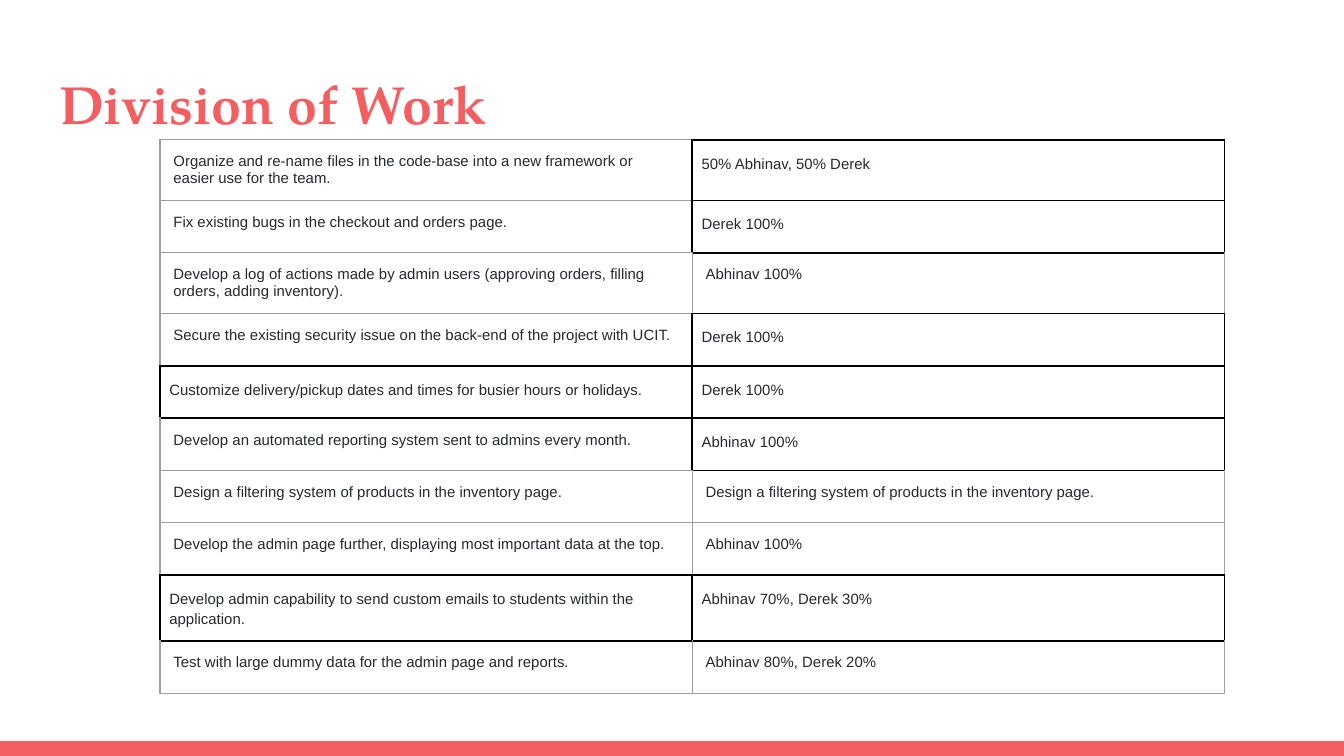
from lxml.etree import SubElement
from pptx import Presentation
from pptx.dml.color import RGBColor
from pptx.enum.shapes import MSO_SHAPE
from pptx.enum.text import MSO_ANCHOR, MSO_AUTO_SIZE, PP_ALIGN
from pptx.oxml.ns import qn
from pptx.util import Emu, Pt

SCALE = 4572  # EMU in one px, at 200 px to the inch
CORAL, INK, BLACK, GREY = "F55E61", "24292F", "000000", "9E9E9E"

# Each cell: text, and whether it is boxed in black
TASKS = [
    [("Organize and re-name files in the code-base into a new framework or easier use for the team.", False),
     ("50% Abhinav, 50% Derek", True)],
    [("Fix existing bugs in the checkout and orders page.", False),
     ("Derek 100%", True)],
    [("Develop a log of actions made by admin users (approving orders, filling orders, adding inventory).", False),
     ("Abhinav 100%", False)],
    [("Secure the existing security issue on the back-end of the project with UCIT.", False),
     ("Derek 100%", True)],
    [("Customize delivery/pickup dates and times for busier hours or holidays.", True),
     ("Derek 100%", True)],
    [("Develop an automated reporting system sent to admins every month.", False),
     ("Abhinav 100%", True)],
    [("Design a filtering system of products in the inventory page.", False),
     ("Design a filtering system of products in the inventory page.", False)],
    [("Develop the admin page further, displaying most important data at the top.", False),
     ("Abhinav 100%", False)],
    [("Develop admin capability to send custom emails to students within the application.", True),
     ("Abhinav 70%, Derek 30%", True)],
    [("Test with large dummy data for the admin page and reports.", False),
     ("Abhinav 80%, Derek 20%", False)],
]
SIDES = {"lnL": (0, -1), "lnR": (0, 1), "lnT": (-1, 0), "lnB": (1, 0)}


def px(n):
    return Emu(n * SCALE)


def color(code):
    return RGBColor.from_string(code)


def assign(target, values):
    for name, value in values.items():
        setattr(target, name, value)


def pads(side, end):
    return {"margin_left": px(side), "margin_right": px(side),
            "margin_top": px(end), "margin_bottom": px(end)}


def boxed(row, col):
    """Tell if a cell is boxed; places outside the table are not."""
    return 0 <= row < len(TASKS) and 0 <= col < 2 and TASKS[row][col][1]


class Deck:
    title_font = {"name": "TeX Gyre Pagella", "size": Pt(28.8), "bold": True}
    body_font = {"name": "Arial", "size": Pt(8), "bold": False}
    box_para = {"line_spacing": 1.15, "space_before": Pt(12)}

    def __init__(self, wide, high):
        self.prs = Presentation()
        assign(self.prs, {"slide_width": px(wide), "slide_height": px(high)})
        self.slide = self.prs.slides.add_slide(self.prs.slide_layouts[5])

    def text(self, frame, words, font, code):
        para = frame.paragraphs[0]
        para.alignment = PP_ALIGN.LEFT
        run = para.add_run()
        run.text = words
        assign(run.font, font)
        run.font.color.rgb = color(code)
        return para

    def bar(self, x, y, w, h):
        shape = self.slide.shapes.add_shape(
            MSO_SHAPE.RECTANGLE, px(x), px(y), px(w), px(h))
        shape.shadow.inherit = False
        shape.fill.solid()
        shape.fill.fore_color.rgb = color(CORAL)
        shape.line.fill.background()

    def title(self, words, x, y, w, h):
        shape = self.slide.shapes.title
        assign(shape, {"left": px(x), "top": px(y), "width": px(w), "height": px(h)})
        frame = shape.text_frame
        assign(frame, {"word_wrap": True, "auto_size": MSO_AUTO_SIZE.NONE,
                       "vertical_anchor": MSO_ANCHOR.MIDDLE, **pads(20, 20)})
        self.text(frame, words, self.title_font, CORAL)

    def edge(self, cell, side, code, width):
        line = SubElement(cell._tc.get_or_add_tcPr(), qn(f"a:{side}"), w=str(Pt(width)))
        fill = SubElement(line, qn("a:solidFill"))
        SubElement(fill, qn("a:srgbClr"), val=code)

    def cell(self, cell, row, col):
        """Fill one cell; an edge is black if a boxed cell lies on either side."""
        words, box = TASKS[row][col]
        assign(cell, pads(14 if box else 20, 20))
        para = self.text(cell.text_frame, words, self.body_font, INK)
        if box:
            assign(para, self.box_para)
        for side, (down, across) in SIDES.items():
            dark = box or boxed(row + down, col + across)
            self.edge(cell, side, *((BLACK, 1) if dark else (GREY, 0.75)))
        cell.fill.background()

    def table(self, x, y, wide, high):
        count = len(TASKS)
        table = self.slide.shapes.add_table(
            count, 2, px(x), px(y), px(2 * wide), px(count * high)).table
        assign(table, {"first_row": False, "horz_banding": False})
        for column in table.columns:
            column.width = px(wide)
        for row in range(count):
            table.rows[row].height = px(high)
            for col in range(2):
                self.cell(table.cell(row, col), row, col)


def main():
    deck = Deck(2000, 1125)
    deck.bar(0, 1103, 2000, 22)
    deck.title("Division of Work", 68, 86, 1864, 136)
    deck.table(238, 208, 792, 78)
    deck.prs.save("out.pptx")


if __name__ == "__main__":
    main()
